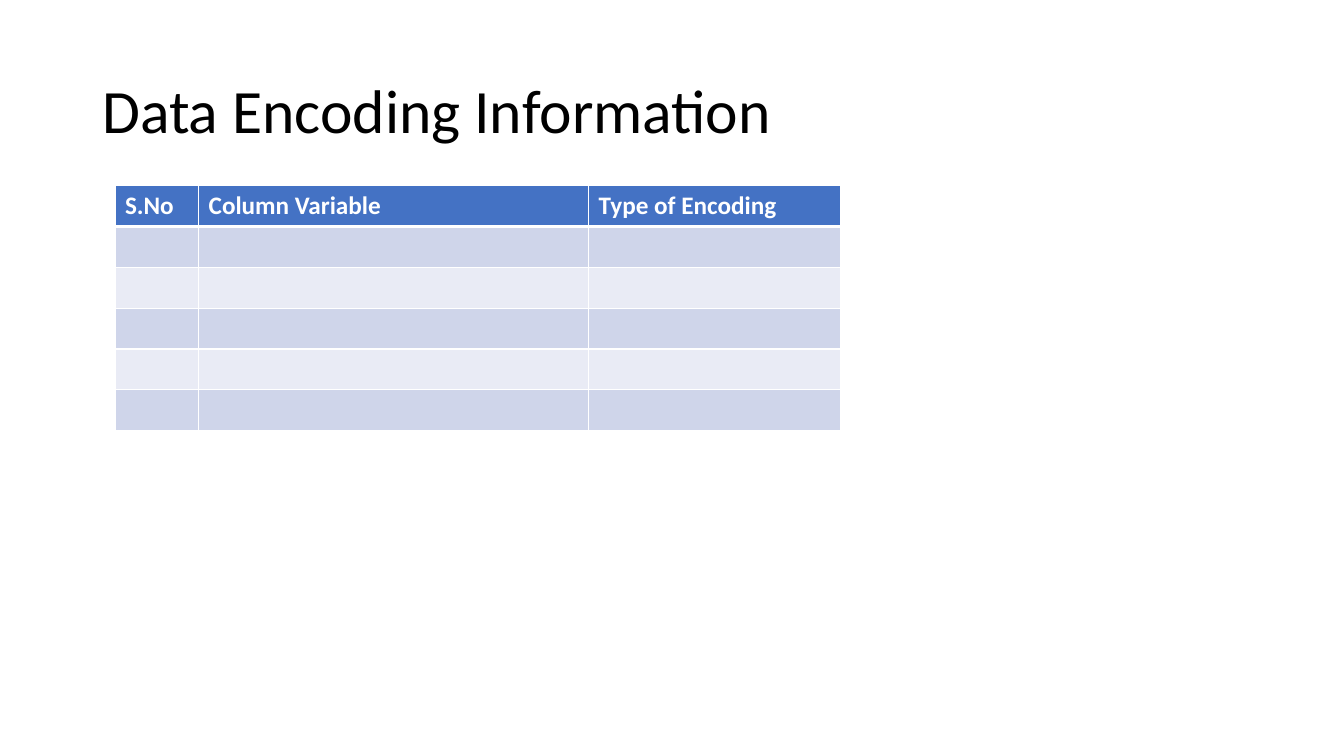
from lxml import etree
from pptx import Presentation
from pptx.dml.color import RGBColor
from pptx.enum import text
from pptx.oxml import ns
from pptx.util import Pt

BLACK = RGBColor(0x00, 0x00, 0x00)
WHITE = RGBColor(0xFF, 0xFF, 0xFF)
HEADER_BLUE = RGBColor(0x44, 0x72, 0xC4)
BAND_DARK = RGBColor(0xCF, 0xD5, 0xEA)
BAND_LIGHT = RGBColor(0xE9, 0xEB, 0xF5)

HEADINGS = ["S.No", "Column Variable", "Type of Encoding"]
COLUMN_WIDTHS = [59.8, 278.6, 180]
EMPTY_ROWS = 5
ROW_HEIGHT = 29.2


def write(frame, wording, size=18, color=BLACK, bold=False, spacing=None, font="Calibri"):
    """Put one formatted paragraph into a text frame."""
    paragraph = frame.paragraphs[0]
    paragraph.line_spacing = spacing
    run = paragraph.add_run()
    run.text = wording
    run.font.name = font
    run.font.size = Pt(size)
    run.font.bold = bold
    run.font.color.rgb = color


def add_border(cell, side, width, color=WHITE):
    line = etree.SubElement(cell._tc.get_or_add_tcPr(), ns.qn(f"a:ln{side}"), w=str(Pt(width)))
    fill = etree.SubElement(line, ns.qn("a:solidFill"))
    etree.SubElement(fill, ns.qn("a:srgbClr"), val=str(color))


class EncodingSlide:
    def __init__(self, presentation):
        self.slide = presentation.slides.add_slide(presentation.slide_layouts[6])

    def title(self, wording, left, top, width, height):
        box = self.slide.shapes.add_textbox(Pt(left), Pt(top), Pt(width), Pt(height))
        frame = box.text_frame
        frame.word_wrap = True
        frame.vertical_anchor = text.MSO_ANCHOR.MIDDLE
        write(frame, wording, size=44, spacing=0.9)

    def table(self, left, top):
        row_count = EMPTY_ROWS + 1
        encodings = self.slide.shapes.add_table(
            row_count, len(HEADINGS), Pt(left), Pt(top),
            Pt(sum(COLUMN_WIDTHS)), Pt(row_count * ROW_HEIGHT)).table
        for column, width in zip(encodings.columns, COLUMN_WIDTHS):
            column.width = Pt(width)
        for index, row in enumerate(encodings.rows):
            row.height = Pt(ROW_HEIGHT)
            band = BAND_DARK if index % 2 else BAND_LIGHT
            for cell in row.cells:
                self.cell(cell, index, band if index else HEADER_BLUE)
        for cell, heading in zip(encodings.rows[0].cells, HEADINGS):
            write(cell.text_frame, heading, color=WHITE, bold=True)

    def cell(self, cell, row_index, color):
        # The rule under the header row is thicker than the rest
        top = 3 if row_index == 1 else 1
        bottom = 3 if row_index == 0 else 1
        for side, width in (("L", 1), ("R", 1), ("T", top), ("B", bottom)):
            add_border(cell, side, width)
        cell.fill.solid()
        cell.fill.fore_color.rgb = color


def main():
    presentation = Presentation()
    presentation.slide_width = Pt(960)
    presentation.slide_height = Pt(540)
    page = EncodingSlide(presentation)
    # Title
    page.title("Data Encoding Information", 66, 28.8, 828, 104.4)
    # Encoding table
    page.table(82.1, 132.5)
    presentation.save("out.pptx")


if __name__ == "__main__":
    main()
